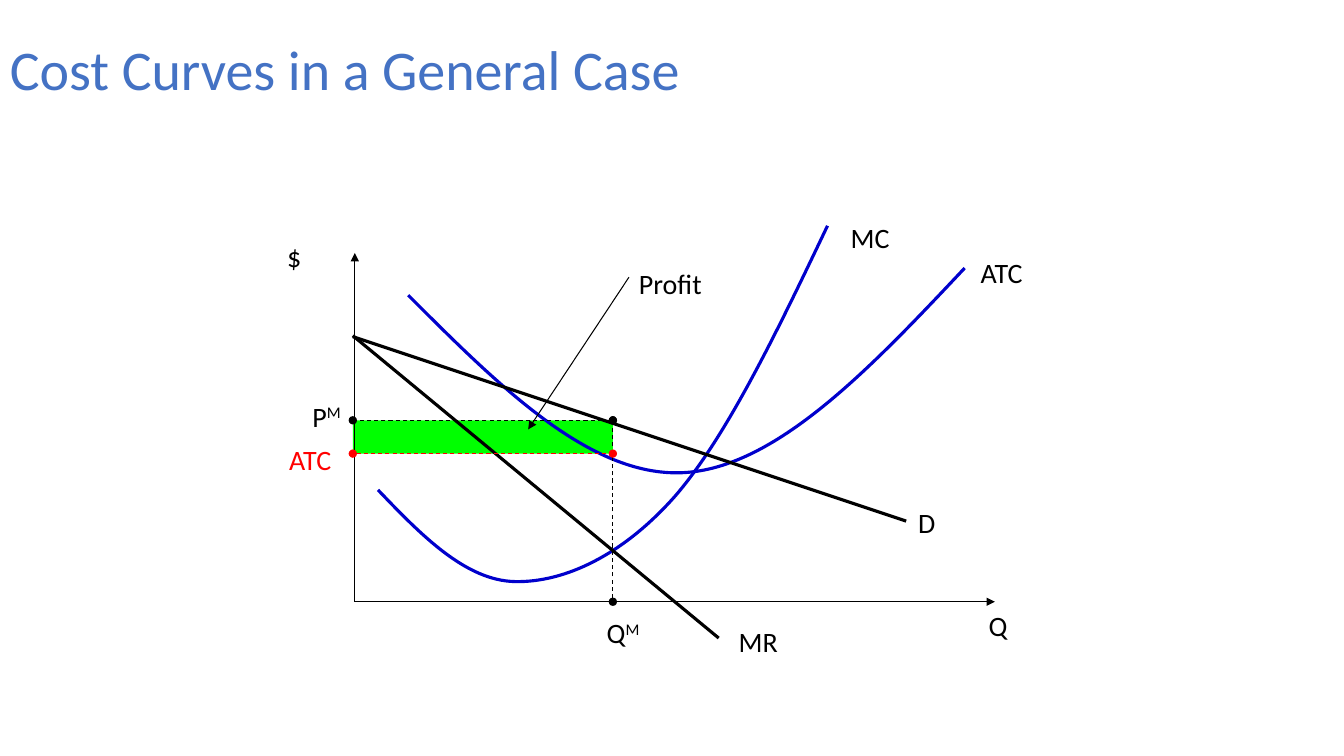
from lxml import etree
from pptx import Presentation
from pptx.dml.color import RGBColor
from pptx.enum.dml import MSO_LINE
from pptx.enum.shapes import MSO_CONNECTOR, MSO_SHAPE
from pptx.enum.text import MSO_ANCHOR
from pptx.oxml.ns import qn
from pptx.util import Pt

BLACK, RED, BLUE, GREEN, TITLE_BLUE = "000000", "FF0000", "0000CC", "00FF00", "4472C4"

# Offsets in points from the top left corner of the plot
AXIS_X, AXIS_TOP, AXIS_Y, AXIS_RIGHT = 1.44, 20.72, 269.84, 458.64
QUANTITY, PRICE, AVERAGE_COST = 185.76, 140.24, 164
ATC_CURVE = [(39.6, 50.96), (104.4, 115.76), (169.2, 180.56), (235.44, 177.68),
             (301.68, 174.8), (369.36, 103.52), (437.04, 31.52)]
MC_CURVE = [(18, 189.92), (48.96, 222.32), (80.64, 254.72), (115.92, 255.44),
            (151.2, 256.16), (192.96, 236.72), (230.4, 194.24),
            (267.12, 151.76), (303.12, 76.88), (339.12, 1.28)]
LABELS = [("$", -54, 7.76, 24.48), ("Q", 447.12, 271.28, 28.8),
          ("ATC", 441.36, 19.28, 44.64), ("MC", 348.48, -5.92, 42.48),
          ("D", 396.72, 197.84, 26.64), ("MR", 268.56, 282.8, 42.48),
          ("Profit", 197.28, 26.48, 59.76)]


def color(hex_code):
    return RGBColor.from_string(hex_code)


def add_text(slide, text, box, size=20, fill=BLACK, superscript="", wrap=False,
             anchor=MSO_ANCHOR.TOP):
    frame = slide.shapes.add_textbox(*map(Pt, box)).text_frame
    frame.word_wrap = wrap
    frame.vertical_anchor = anchor
    for part in filter(None, (text, superscript)):
        run = frame.paragraphs[0].add_run()
        run.text = part
        run.font.name = "Calibri"
        run.font.size = Pt(size)
        run.font.color.rgb = color(fill)
    if superscript:
        run.font._element.set("baseline", "30000")


def add_line(slide, start, end, stroke=BLACK, width=0.75, dashed=False, head=None, tail=None):
    connector = slide.shapes.add_connector(MSO_CONNECTOR.STRAIGHT, *map(Pt, start + end))
    connector.line.color.rgb = color(stroke)
    connector.line.width = Pt(width)
    if dashed:
        connector.line.dash_style = MSO_LINE.DASH
    outline = connector.line._get_or_add_ln()
    for tag, kind in (("a:headEnd", head), ("a:tailEnd", tail)):
        if kind:
            etree.SubElement(outline, qn(tag), type=kind)
    etree.SubElement(connector._element.spPr, qn("a:effectLst"))


def add_curve(slide, points, stroke=BLUE, width=2.25):
    """Draw a cubic Bézier chain: a start point, then three points per segment."""
    start, *controls = [(Pt(x), Pt(y)) for x, y in points]
    builder = slide.shapes.build_freeform(*start)
    builder.add_line_segments(controls, close=False)
    curve = builder.convert_to_shape()
    curve.shadow.inherit = False
    curve.fill.background()
    curve.line.color.rgb = color(stroke)
    curve.line.width = Pt(width)
    outline = next(curve._element.iter(qn("a:path")))
    segments = outline.findall(qn("a:lnTo"))
    for first in range(0, len(segments), 3):
        bezier = etree.SubElement(outline, qn("a:cubicBezTo"))
        for segment in segments[first:first + 3]:
            bezier.append(segment[0])
            outline.remove(segment)


def add_title(slide, box):
    add_text(slide, "Cost Curves in a General Case", box, size=40, fill=TITLE_BLUE,
             wrap=True, anchor=MSO_ANCHOR.MIDDLE)


def add_cost_plot(slide, left, top):
    def at(x, y):
        return left + x, top + y

    def label_box(x, y, width):
        return *at(x, y), width, 31.32

    profit = slide.shapes.add_shape(
        MSO_SHAPE.RECTANGLE, *map(Pt, at(0, PRICE)), Pt(QUANTITY), Pt(AVERAGE_COST - PRICE))
    profit.shadow.inherit = False
    profit.fill.solid()
    profit.fill.fore_color.rgb = color(GREEN)
    profit.line.fill.background()

    origin = at(AXIS_X, AXIS_Y)
    add_line(slide, at(AXIS_X, AXIS_TOP), origin, head="triangle")
    add_line(slide, origin, at(AXIS_RIGHT, AXIS_Y), tail="triangle")

    for points in (ATC_CURVE, MC_CURVE):
        add_curve(slide, [at(*point) for point in points])
    add_line(slide, at(0, 79.76), at(261.36, 295.76), width=2.25)
    add_line(slide, at(0, 80.48), at(395.28, 212.24), width=2.25)

    optimum = at(QUANTITY, PRICE)
    for start, end, stroke in (
            (at(QUANTITY, AXIS_Y), optimum, BLACK),
            (optimum, at(0, PRICE), BLACK),
            (at(0, AVERAGE_COST), at(QUANTITY, AVERAGE_COST), RED)):
        add_line(slide, start, end, stroke, dashed=True, head="oval", tail="oval")
    add_line(slide, at(197.28, 38), at(125.28, 146.72), tail="triangle")

    for text, *place in LABELS:
        add_text(slide, text, label_box(*place))
    add_text(slide, "Q", label_box(174.24, 276.32, 40.32), superscript="M")
    add_text(slide, "P", label_box(-36, 121.52, 37.44), superscript="M")
    add_text(slide, "ATC", label_box(-52.56, 152.48, 61.2), fill=RED, wrap=True)


def main():
    deck = Presentation()
    deck.slide_width, deck.slide_height = Pt(960), Pt(540)
    slide = deck.slides.add_slide(deck.slide_layouts[6])
    add_title(slide, (0, 0, 917.28, 97.92))
    add_cost_plot(slide, 252, 160)
    deck.save("out.pptx")


if __name__ == "__main__":
    main()
